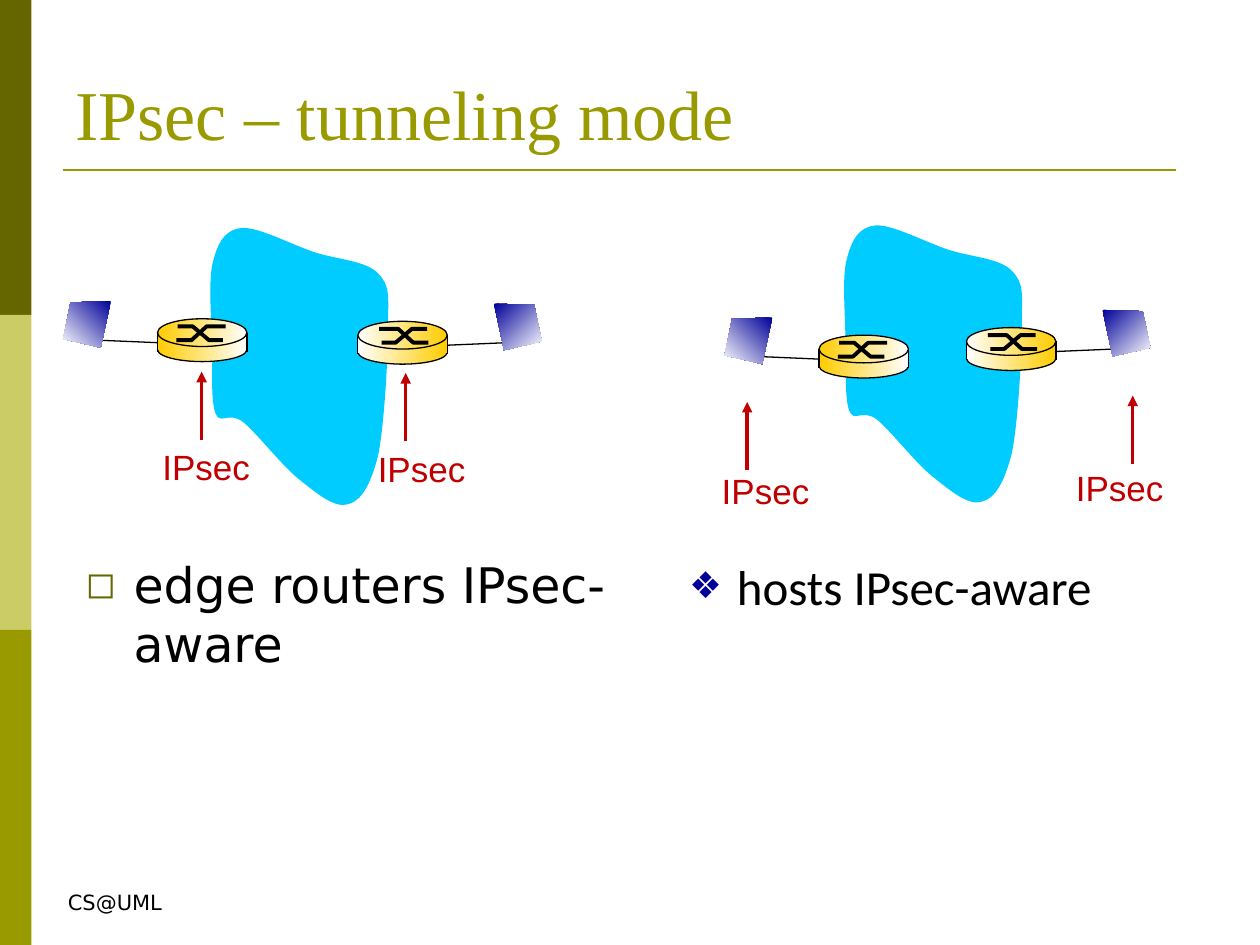
from lxml import etree
from pptx import Presentation
from pptx import util as u
from pptx.dml.color import RGBColor
from pptx.enum import shapes, text
from pptx.oxml.ns import qn

OLIVE, DARK, PALE = (RGBColor.from_string(c) for c in ("999900", "666600", "CCCC66"))
BLACK, WHITE = RGBColor(0, 0, 0), RGBColor(255, 255, 255)
RED, SKY = RGBColor(0xC0, 0, 0), RGBColor(0, 0xCC, 0xFF)
GOLD, NAVY = RGBColor(0xFF, 0xCC, 0), RGBColor(0, 0, 0x99)

# Content
TITLE = "IPsec – tunneling mode"
FOOTER = "CS@UML"
LABEL = "IPsec"
BULLETS = [
    dict(body="edge routers IPsec-aware", at=(0.58, 4.35), mark="◻", color=DARK, font="DejaVu Sans"),
    dict(body="hosts IPsec-aware", at=(5.37, 4.37), mark="❖", color=NAVY, font="Calibri"),
]
BANDS = [DARK, PALE, OLIVE]
# Per network: cloud offset, hosts (outer x, top, direction),
# IPsec marks (arrow x, arrow tip y, label x, label y)
NETWORKS = [
    dict(cloud=(0, 0), hosts=[(0.5, 2.39, 1), (4.3, 2.41, -1)],
         marks=[(1.6, 2.95, 1.19, 3.49), (3.22, 2.96, 2.9, 3.5)]),
    dict(cloud=(5.03, -0.02), hosts=[(5.75, 2.52, 1), (9.13, 2.46, -1)],
         marks=[(5.93, 3.19, 5.63, 3.68), (8.99, 3.14, 8.44, 3.65)]),
]
# Cloud outline: a start, then three Bezier points per curve
CLOUD = [
    (1.92, 1.81), (1.79, 1.82), (1.73, 1.92), (1.69, 2.08), (1.65, 2.23), (1.68, 2.53),
    (1.68, 2.73), (1.69, 2.93), (1.67, 3.17), (1.71, 3.28), (1.75, 3.38), (1.81, 3.26),
    (1.93, 3.35), (2.04, 3.44), (2.24, 3.7), (2.38, 3.81), (2.52, 3.92), (2.66, 4.04),
    (2.77, 4), (2.87, 3.97), (2.94, 3.85), (3, 3.62), (3.05, 3.38), (3.08, 2.83),
    (3.08, 2.59), (3.08, 2.35), (3.1, 2.27), (3, 2.17), (2.91, 2.07), (2.67, 2.06),
    (2.49, 2), (2.31, 1.94), (2.05, 1.8), (1.92, 1.81),
]
# Host and router, measured from the host's outer top corner
SCREEN = [(0.38, 0), (0.06, 0.01), (0, 0.3), (0.3, 0.37)]
ROUTER = [  # kind, top, height, outlined
    (shapes.MSO_SHAPE.OVAL, 0.29, 0.19, True),
    (shapes.MSO_SHAPE.RECTANGLE, 0.27, 0.12, False),
    (shapes.MSO_SHAPE.OVAL, 0.14, 0.22, True),
]
ROUTER_X, ROUTER_W = 0.75, 0.71
CROSS = [
    [(0.9, 0.31), (1.02, 0.31), (1.14, 0.2), (1.29, 0.2)],
    [(0.91, 0.2), (1.03, 0.2), (1.16, 0.31), (1.27, 0.31)],
]


def emu(*values):
    return [u.Inches(v) for v in values]


def paint(sp, fill=None, line=None, width=0.75):
    sp.shadow.inherit = False
    if fill is None:
        sp.fill.background()
    else:
        sp.fill.solid()
        sp.fill.fore_color.rgb = fill
    if line is None:
        sp.line.fill.background()
    else:
        sp.line.color.rgb = line
        sp.line.width = u.Pt(width)


def gradient(sp, angle, colors):
    sp.fill.gradient()
    sp.fill.gradient_angle = angle
    for stop, color, pos in zip(sp.fill.gradient_stops, colors, (0, 1)):
        stop.color.rgb = color
        stop.position = pos


def connect(parent, start, end, color, width, arrow=False):
    line = parent.add_connector(shapes.MSO_CONNECTOR.STRAIGHT, *emu(*start, *end))
    line.line.color.rgb = color
    line.line.width = u.Pt(width)
    if arrow:
        etree.SubElement(line.line._get_or_add_ln(), qn("a:tailEnd"), type="triangle")
    etree.SubElement(line._element.spPr, qn("a:effectLst"))


def outline(parent, points, close):
    pts = [emu(*pt) for pt in points]
    fb = parent.build_freeform(*pts[0], scale=1.0)
    fb.add_line_segments(pts[1:], close=close)
    return fb.convert_to_shape()


def write(sp, content, wrap=True, **font):
    tf = sp.text_frame
    tf.word_wrap = wrap
    tf.auto_size = text.MSO_AUTO_SIZE.NONE if wrap else text.MSO_AUTO_SIZE.SHAPE_TO_FIT_TEXT
    p = tf.paragraphs[0]
    p.alignment = text.PP_ALIGN.LEFT
    r = p.add_run()
    r.text = content
    r.font.color.rgb = font.pop("color")
    for name, value in font.items():
        setattr(r.font, name, value)
    return p


def place(sp, left, top, width, height):
    for name, value in zip(("left", "top", "width", "height"), emu(left, top, width, height)):
        setattr(sp, name, value)


def bullet(p, mark, color):
    p.space_before = u.Pt(0)
    pPr = p._p.get_or_add_pPr()
    pPr.set("marL", str(u.Inches(0.38)))
    pPr.set("indent", str(-u.Inches(0.38)))
    clr = etree.SubElement(pPr, qn("a:buClr"))
    etree.SubElement(clr, qn("a:srgbClr"), val=str(color))
    etree.SubElement(pPr, qn("a:buSzPct"), val="75000")
    etree.SubElement(pPr, qn("a:buFont"), typeface="DejaVu Sans")
    etree.SubElement(pPr, qn("a:buChar"), char=mark)


def add_cloud(parent, dx, dy):
    sp = outline(parent, [(x + dx, y + dy) for x, y in CLOUD], True)
    # Merge each three straight segments into one cubic curve
    segments = list(sp._element.iter(qn("a:lnTo")))
    for i in range(0, len(segments), 3):
        curve = etree.Element(qn("a:cubicBezTo"))
        segments[i].addprevious(curve)
        for seg in segments[i:i + 3]:
            curve.append(seg[0])
            seg.getparent().remove(seg)
    paint(sp, SKY)


def add_host(parent, x0, y0, way):
    g = parent.add_group_shape().shapes

    def at(x, y):
        return x0 + way * x, y0 + y

    connect(g, at(0.28, 0.31), at(ROUTER_X, 0.33), BLACK, 0.75)
    left = min(at(ROUTER_X, 0)[0], at(ROUTER_X + ROUTER_W, 0)[0])
    for kind, top, height, lined in ROUTER:
        sp = g.add_shape(kind, *emu(left, y0 + top, ROUTER_W, height))
        paint(sp, GOLD, BLACK if lined else None)
        gradient(sp, 0, (GOLD, WHITE)[::way])
    for stroke in CROSS:
        paint(outline(g, [at(*pt) for pt in stroke], False), None, BLACK, 2.25)
    for x in (ROUTER_X, ROUTER_X + ROUTER_W):
        connect(g, at(x, 0.25), at(x, 0.4), BLACK, 0.75)
    screen = outline(g, [at(*pt) for pt in SCREEN], True)
    paint(screen, NAVY)
    gradient(screen, 225 if way > 0 else 315, (NAVY, WHITE))


def main():
    prs = Presentation()
    prs.slide_width, prs.slide_height = emu(10, 7.5)
    s = prs.slides.add_slide(prs.slide_layouts[1])
    title, body = s.placeholders

    # Side bands, title rule and footer
    for i, color in enumerate(BANDS):
        paint(s.shapes.add_shape(shapes.MSO_SHAPE.RECTANGLE, *emu(0, 2.5 * i, 0.25, 2.5)), color)
    connect(s.shapes, (0.5, 1.35), (9.33, 1.35), OLIVE, 1.5)
    footer = s.shapes.add_textbox(*emu(0.44, 7.01, 0.95, 0.3))
    write(footer, FOOTER, False, size=u.Pt(12), name="DejaVu Sans", color=BLACK)

    # Title and the two bullets
    place(title, 0.5, 0.3, 9, 0.98)
    write(title, TITLE, size=u.Pt(40), name="Times New Roman", color=OLIVE)
    title.text_frame.vertical_anchor = text.MSO_ANCHOR.BOTTOM
    for sp, b in zip((body, s.shapes.add_textbox(0, 0, 0, 0)), BULLETS):
        place(sp, *b["at"], 4.48, 1.42)
        p = write(sp, b["body"], size=u.Pt(28), name=b["font"], color=BLACK)
        bullet(p, b["mark"], b["color"])

    # Networks: cloud, IPsec marks, hosts with routers
    for net in NETWORKS:
        add_cloud(s.shapes, *net["cloud"])
        for x, tip, label_x, label_y in net["marks"]:
            connect(s.shapes, (x, tip + 0.54), (x, tip), RED, 2, arrow=True)
            label = s.shapes.add_textbox(*emu(label_x, label_y, 0.93, 0.43))
            write(label, LABEL, False, size=u.Pt(20), name="Arial", color=RED)
        for host in net["hosts"]:
            add_host(s.shapes, *host)

    prs.save("out.pptx")


if __name__ == "__main__":
    main()
